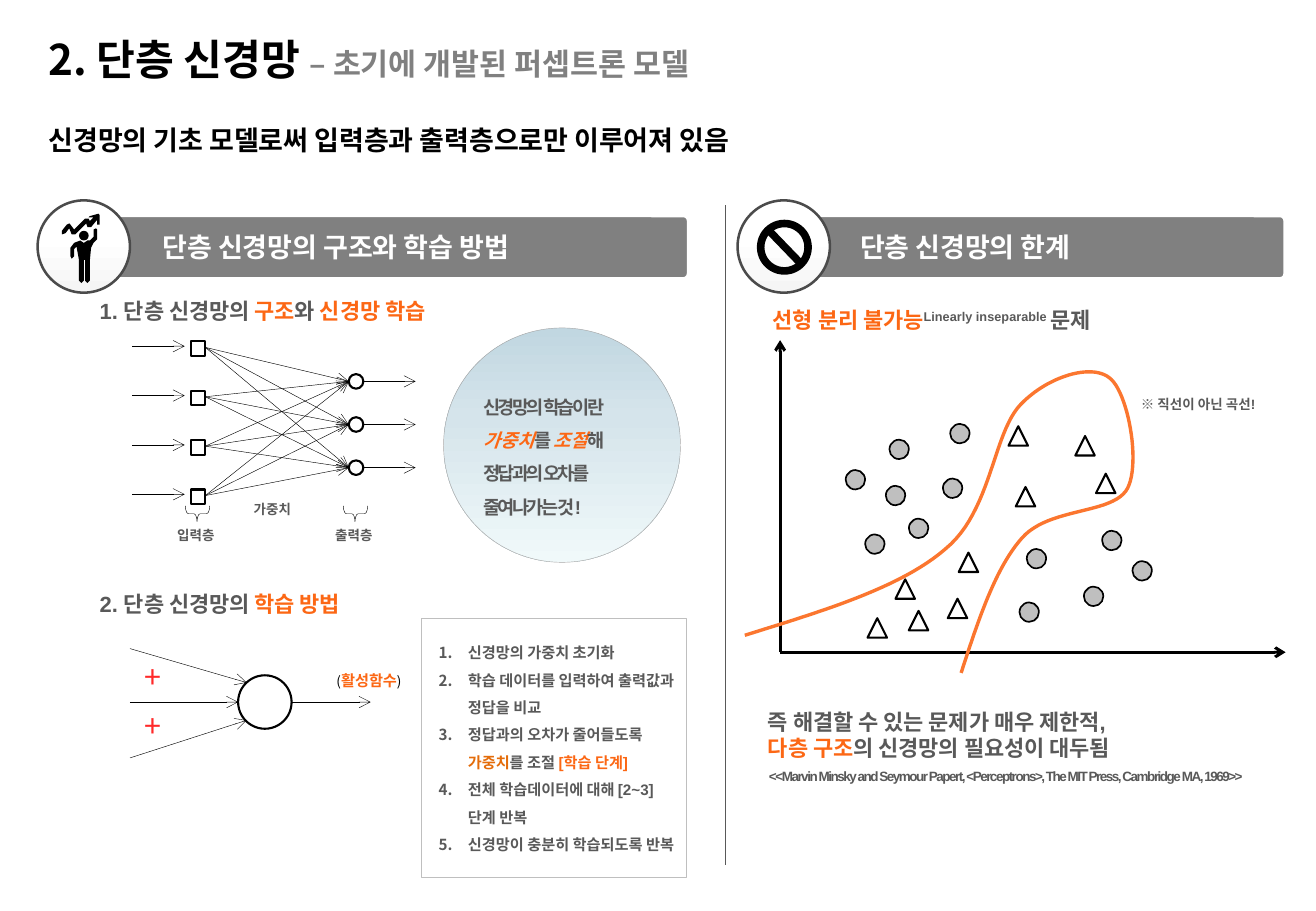
from itertools import product

from lxml import etree
from pptx import Presentation
from pptx.dml.color import RGBColor
from pptx.enum.shapes import MSO_CONNECTOR, MSO_SHAPE
from pptx.enum.text import MSO_ANCHOR, MSO_AUTO_SIZE
from pptx.oxml.ns import qn
from pptx.util import Inches, Pt

RECT, ROUND, OVAL = MSO_SHAPE.RECTANGLE, MSO_SHAPE.ROUNDED_RECTANGLE, MSO_SHAPE.OVAL
TRIANGLE, BRACE = MSO_SHAPE.ISOSCELES_TRIANGLE, MSO_SHAPE.RIGHT_BRACE
CALLOUT, STRAIGHT = MSO_SHAPE.DOWN_ARROW_CALLOUT, MSO_CONNECTOR.STRAIGHT
TOP, MIDDLE = MSO_ANCHOR.TOP, MSO_ANCHOR.MIDDLE
FIT, FIXED = MSO_AUTO_SIZE.SHAPE_TO_FIT_TEXT, MSO_AUTO_SIZE.NONE

COLS, ROWS = 10.83, 7.5
NOTO, ARIAL = "Noto Sans CJK KR", "Arial"
COLORS = {
    "black": "000000", "white": "FFFFFF", "gray": "808080", "text": "595959",
    "orange": "FC6714", "amber": "E46C0A", "curve": "FB762F", "red": "FF2929",
    "badge": "4B4B4B", "edge": "BFBFBF", "rim": "A6A6A6", "mist": "F5F5F5",
    "sky": "C1D7E1", "haze": "D5E4EB", "ice": "F0F9FA",
}
PLAIN_INSETS = (0.1, 0.05, 0.1, 0.05)
TITLE_INSETS = (0.09, 0.04, 0.09, 0.04)
LABEL_INSETS = (0, 0.05, 0, 0.05)


class Deck:
    def __init__(self):
        self.prs = Presentation()
        self.prs.slide_width, self.prs.slide_height = Inches(COLS), Inches(ROWS)
        self.s = self.prs.slides.add_slide(self.prs.slide_layouts[6])

    def x(self, cols):
        return round(cols * self.prs.slide_width / COLS)

    def y(self, rows):
        return round(rows * self.prs.slide_height / ROWS)

    def box(self, at):
        return self.x(at[0]), self.y(at[1]), self.x(at[2]), self.y(at[3])

    def color(self, name):
        return RGBColor.from_string(COLORS[name])

    def paint(self, sp, fill, line):
        sp.shadow.inherit = False
        if isinstance(fill, list):
            sp.fill.gradient()
            sp.fill.gradient_angle = 270
            stops = next(sp._element.iter(qn("a:gsLst")))
            for stop in list(stops):
                stops.remove(stop)
            for share, name in fill:
                stop = etree.SubElement(stops, qn("a:gs"), pos=str(share * 1000))
                etree.SubElement(stop, qn("a:srgbClr"), val=COLORS[name])
        elif fill:
            sp.fill.solid()
            sp.fill.fore_color.rgb = self.color(fill)
        else:
            sp.fill.background()
        if line:
            sp.line.color.rgb, sp.line.width = self.color(line[0]), Pt(line[1])
        else:
            sp.line.fill.background()

    def shape(self, kind, at, fill=None, line=None, adj=(), rot=0):
        sp = self.s.shapes.add_shape(kind, *self.box(at))
        for i, value in enumerate(adj):
            sp.adjustments[i] = value
        sp.rotation = rot
        self.paint(sp, fill, line)
        return sp

    def line(self, start, end, color="black", width=0.25, arrow=True):
        sp = self.s.shapes.add_connector(
            STRAIGHT, self.x(start[0]), self.y(start[1]), self.x(end[0]), self.y(end[1]))
        sp.line.color.rgb, sp.line.width = self.color(color), Pt(width)
        spPr = sp._element.spPr
        if arrow:
            etree.SubElement(spPr.find(qn("a:ln")), qn("a:tailEnd"), type="arrow")
        etree.SubElement(spPr, qn("a:effectLst"))

    def outline(self, points, fill=None, line=None, close=True):
        pts = [(self.x(a), self.y(b)) for a, b in points]
        fb = self.s.shapes.build_freeform(*pts[0])
        fb.add_line_segments(pts[1:], close=close)
        self.paint(fb.convert_to_shape(), fill, line)

    def set_text(self, sp, paras, size, font=ARIAL, anchor=MIDDLE, ins=PLAIN_INSETS,
                 wrap=True, fit=FIXED, spacing=None, indent=(0, 0), numbered=False):
        tf = sp.text_frame
        margins = zip(("margin_left", "margin_top", "margin_right", "margin_bottom"), self.box(ins))
        frame = dict(margins, word_wrap=wrap, auto_size=fit, vertical_anchor=anchor)
        for key, value in frame.items():
            setattr(tf, key, value)
        for i, runs in enumerate(paras):
            p = tf.add_paragraph() if i else tf.paragraphs[0]
            if spacing:
                p.line_spacing = spacing
            pPr = p._p.get_or_add_pPr()
            pPr.set("algn", "l")
            pPr.set("marL", str(self.x(indent[0])))
            pPr.set("indent", str(self.x(indent[1])))
            if numbered:
                etree.SubElement(pPr, qn("a:buAutoNum"), type="arabicPeriod")
            for text, color, *extra in runs:
                look = {"name": font, "size": size, "bold": True, **(extra[0] if extra else {})}
                attrs = look.pop("attrs", {})
                look["size"] = Pt(look["size"])
                r = p.add_run()
                r.text = text
                r.font.color.rgb = self.color(color)
                for key, value in look.items():
                    setattr(r.font, key, value)
                rPr = r._r.get_or_add_rPr()
                for key, value in attrs.items():
                    rPr.set(key, value)
                etree.SubElement(rPr, qn("a:ea"), typeface=NOTO)

    def text(self, at, paras, size, **style):
        sp = self.s.shapes.add_textbox(*self.box(at))
        self.set_text(sp, paras, size, **{"anchor": TOP, "fit": FIT, **style})

    def label(self, at, paras):
        self.set_text(self.shape(ROUND, at, adj=[0]), paras, 13, ins=LABEL_INSETS)

    def header(self, badge_x, band, text_at, title):
        self.shape(ROUND, band, "gray", ("white", 1.25), [0.07])
        self.text(text_at, [[(title, "white")]], 16, anchor=MIDDLE)
        self.shape(OVAL, (badge_x, 1.65, 0.76, 0.76), [(38, "white"), (100, "mist")], ("badge", 1.5))


def bezier(start, curves, steps=24):
    points = [start]
    for a, b, c in curves:
        o = points[-1]
        for t in (k / steps for k in range(1, steps + 1)):
            u = 1 - t
            points.append(tuple(u**3 * o[i] + 3 * u * u * t * a[i] + 3 * u * t * t * b[i] + t**3 * c[i]
                                for i in (0, 1)))
    return points


def headings(d):
    d.text((0.31, 0.19, 8.82, 0.55),
           [[("2. 단층 신경망 ", "black"), ("– 초기에 개발된 퍼셉트론 모델", "gray", {"size": 18})]],
           25, font=NOTO, anchor=MIDDLE, ins=TITLE_INSETS, spacing=1.1)
    d.text((0.11, 0.95, 10.9, 0.38), [[("신경망의 기초 모델로써 입력층과 출력층으로만 이루어져 있음", "black")]],
           16, font=NOTO, ins=TITLE_INSETS, spacing=1.1, indent=(0.2, 0))
    d.header(6.07, (6.6, 1.78, 3.97, 0.51), (6.98, 1.85, 3.36, 0.37), "단층 신경망의 한계")
    d.header(0.31, (0.77, 1.78, 4.89, 0.51), (1.24, 1.85, 3.6, 0.37), "단층 신경망의 구조와 학습 방법")
    d.outline([(0.82, 1.77), (0.82, 1.85), (0.8, 1.85), (0.8, 1.81), (0.75, 1.87), (0.72, 1.87),
               (0.71, 1.84), (0.62, 1.93), (0.59, 1.93), (0.57, 1.88), (0.54, 1.92), (0.51, 1.93),
               (0.51, 1.9), (0.55, 1.85), (0.57, 1.84), (0.58, 1.85), (0.61, 1.89), (0.7, 1.8),
               (0.73, 1.8), (0.74, 1.82), (0.77, 1.79), (0.73, 1.79), (0.74, 1.78), (0.81, 1.76)], "black")
    d.outline([(0.8, 1.89), (0.8, 1.97), (0.77, 2), (0.75, 2.04), (0.74, 2.14), (0.74, 2.31),
               (0.72, 2.33), (0.7, 2.31), (0.7, 2.14), (0.69, 2.14), (0.69, 2.31), (0.67, 2.33),
               (0.65, 2.31), (0.65, 2.14), (0.63, 2.03), (0.61, 2.05), (0.61, 2.11), (0.59, 2.13),
               (0.58, 2.11), (0.58, 2.04), (0.61, 2), (0.66, 1.98), (0.69, 2), (0.72, 1.98),
               (0.74, 1.98), (0.77, 1.95), (0.77, 1.89), (0.79, 1.88)], "black")
    d.shape(OVAL, (0.65, 1.9, 0.08, 0.08), "black")
    d.shape(OVAL, (6.26, 1.84, 0.39, 0.39), line=("black", 4.5))
    d.line((6.32, 1.89), (6.59, 2.17), width=4.5, arrow=False)
    d.line((5.97, 1.69), (5.97, 7.12), "text", 0.5, False)


def network(d):
    d.label((0.82, 2.44, 4.2, 0.24), [[("1. 단층 신경망의", "text"), (" 구조", "orange"),
                                       ("와", "text"), (" 신경망 학습", "orange")]])
    inputs = [2.86 + 1.22 * i / 3 for i in range(4)]
    outputs = [3.14 + 0.71 * i / 2 for i in range(3)]
    for y in inputs:
        d.shape(RECT, (1.57, y - 0.05, 0.12, 0.12), line=("black", 1.25))
        d.line((1.09, y - 0.01), (1.52, y - 0.01))
    for y in outputs:
        d.shape(OVAL, (2.87, y - 0.06, 0.12, 0.12), line=("black", 1.25))
        d.line((2.99, y), (3.42, y))
    for a, b in product(inputs, outputs):
        d.line((1.69, a), (2.87, b))
    for x in (1.56, 2.86):
        d.shape(BRACE, (x, 4.13, 0.13, 0.2), line=("black", 0.25), adj=[0.19, 0.52], rot=90)
    for x, y, name in ((1.36, 4.29, "입력층"), (2.66, 4.29, "출력층"), (1.99, 4.08, "가중치")):
        d.text((x, y, 0.54, 0.24), [[(name, "text")]], 8, wrap=False)
    sp = d.shape(OVAL, (3.65, 2.7, 1.95, 1.93), [(0, "sky"), (38, "haze"), (100, "ice")], ("rim", 0.25))
    tight, slanted = {"attrs": {"spc": "-150"}}, {"italic": True}
    d.set_text(sp, [[("신경망의 학습이란", "text", tight)],
                    [("가중치", "orange", slanted), ("를 ", "text", tight),
                     ("조절", "orange", slanted), ("해", "text", tight)],
                    [("정답과의 오차를 줄여나가는 것!", "text", tight)]],
               11, ins=(0, 0.16, 0, 0.06), spacing=1.5, indent=(0.04, 0))


def learning(d):
    d.label((0.82, 4.85, 4.2, 0.24), [[("2. 단층 신경망의 ", "text"), ("학습 방법", "orange")]])
    for start, end in (((1.07, 5.78), (1.96, 5.78)), ((1.07, 5.34), (2.03, 5.62)),
                       ((1.07, 6.24), (2.03, 5.93)), ((2.4, 5.78), (3.05, 5.78))):
        d.line(start, end)
    d.shape(OVAL, (1.96, 5.56, 0.44, 0.44), line=("black", 1.25))
    paren = {"name": NOTO, "size": 8, "bold": False}
    d.text((2.67, 5.48, 0.79, 0.25), [[("(", "black", paren), ("활성함수", "orange"), (")", "black", paren)]],
           9, wrap=False)
    for y in (5.37, 5.77):
        d.text((1.09, y, 0.38, 0.4), [[("+", "red", {"bold": False})]], 18, font=NOTO, wrap=False)
    sp = d.shape(CALLOUT, (3.47, 5.09, 2.18, 2.13), "white", ("edge", 0.25), [1, 0.5, 0, 1])
    d.set_text(sp, [[("신경망의 가중치 초기화", "text")],
                    [("학습 데이터를 입력하여 출력값과 정답을 비교", "text")],
                    [("정답과의 오차가 줄어들도록 ", "text"), ("가중치", "amber"),
                     ("를 조절 ", "text"), ("[학습 단계]", "orange")],
                    [("전체 학습데이터에 대해 [2~3]단계 반복", "text")],
                    [("신경망이 충분히 학습되도록 반복", "text")]],
               9, ins=(0, 0, 0.09, 0.06), spacing=1.5, indent=(0.38, -0.24), numbered=True)


def limits(d):
    d.label((6.36, 2.51, 4.2, 0.24),
            [[("선형 분리 불가능", "orange"),
              ("Linearly inseparable ", "text", {"attrs": {"baseline": "30000"}}), ("문제", "text")]])
    for x, y in ((8.85, 3.59), (7.37, 4.77), (7.89, 4.55), (9.02, 3.9), (8.36, 4.01), (8.3, 3.51),
                 (7.8, 4.93), (7.14, 5.09), (7.48, 5.03)):
        d.shape(TRIANGLE, (x, y, 0.16, 0.16), line=("black", 1.25))
    for x, y in ((7.76, 3.94), (7.32, 3.62), (7.29, 4), (7.48, 4.27), (8.92, 4.83), (8.45, 4.52), (9.07, 4.37),
                 (6.96, 3.87), (9.32, 4.62), (7.82, 3.49), (7.12, 4.4), (8.39, 4.96)):
        d.shape(OVAL, (x, y, 0.16, 0.16), "edge", ("black", 1))
    for end in ((6.42, 2.8), (10.58, 5.37)):
        d.line((6.42, 5.37), end, width=1.75)
    d.outline(bezier((6.13, 5.23), [
        ((6.77, 5.03), (7.41, 4.84), (7.78, 4.52)), ((8.16, 4.21), (8.17, 3.57), (8.4, 3.33)),
        ((8.62, 3.1), (8.98, 2.99), (9.13, 3.11)), ((9.28, 3.22), (9.39, 3.8), (9.28, 4.02)),
        ((9.16, 4.24), (8.64, 4.17), (8.41, 4.43)), ((8.19, 4.68), (8.05, 5.11), (7.91, 5.54)),
    ]), line=("curve", 2), close=False)
    d.text((9.29, 3.21, 1.33, 0.24), [[("※ 직선이 아닌 곡선!", "text")]], 8)
    d.label((6.32, 5.68, 4.2, 0.74), [[("즉 해결할 수 있는 문제가 매우 제한적,", "text")],
                                      [("다층 구조", "orange"), ("의 신경망의 필요성이 대두됨", "text")]])
    d.text((6.23, 6.27, 4.39, 0.24),
           [[("<<Marvin Minsky and Seymour Papert, <Perceptrons>, The MIT Press, Cambridge MA, 1969>>",
              "text", {"attrs": {"spc": "-90"}})]], 8)


def main():
    d = Deck()
    for part in (headings, network, learning, limits):
        part(d)
    d.prs.save("out.pptx")


if __name__ == "__main__":
    main()
